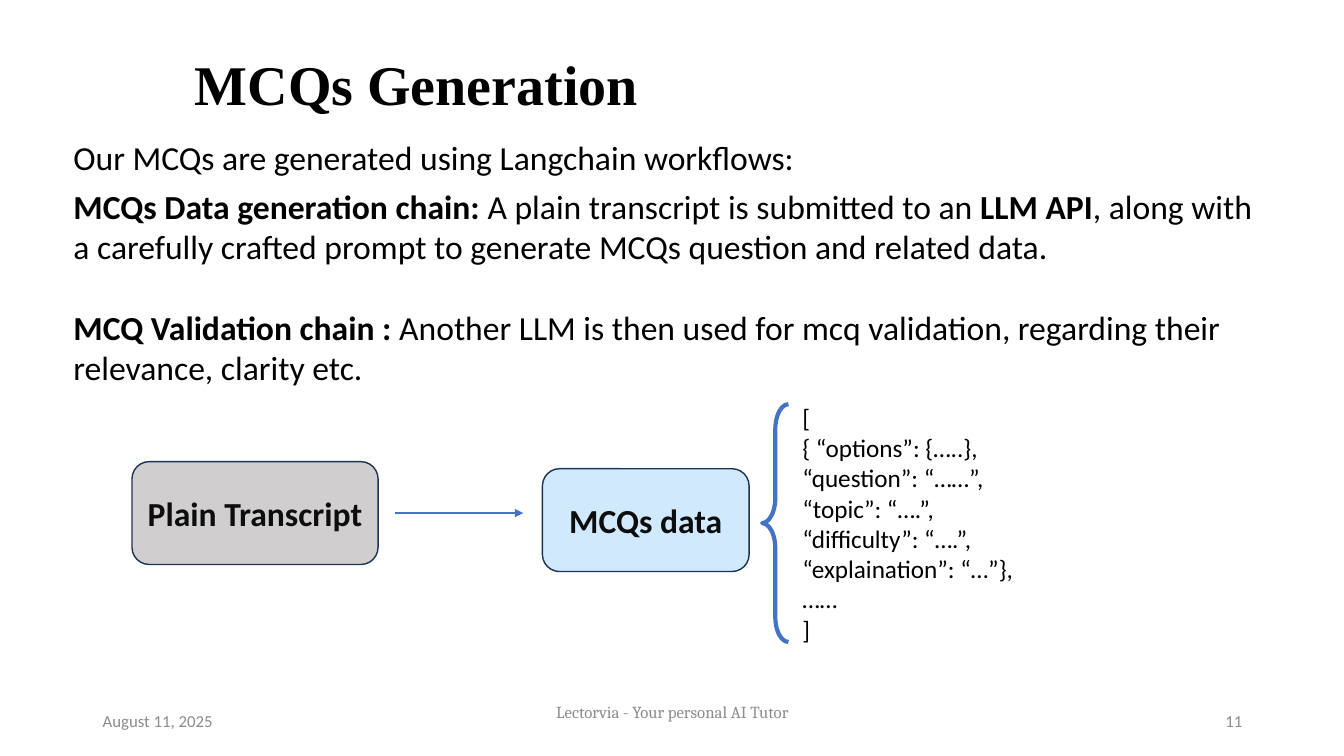
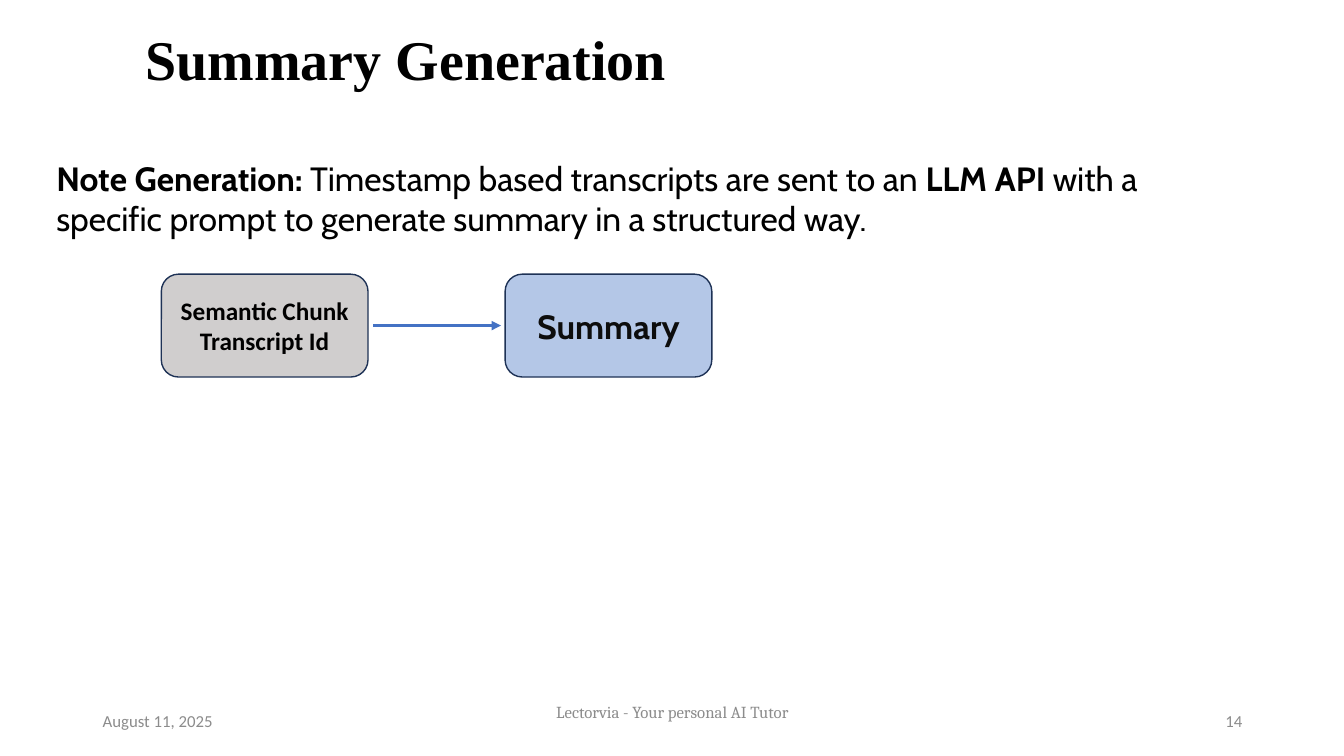
from dataclasses import dataclass

from lxml import etree
from pptx import Presentation
from pptx.dml.color import RGBColor
from pptx.enum.shapes import MSO_CONNECTOR, MSO_SHAPE
from pptx.enum.text import MSO_ANCHOR, PP_ALIGN
from pptx.oxml.ns import qn
from pptx.util import Pt

PX = 9144
LEFT, MID, RIGHT = PP_ALIGN.LEFT, PP_ALIGN.CENTER, PP_ALIGN.RIGHT
TOP, CENTER = MSO_ANCHOR.TOP, MSO_ANCHOR.MIDDLE
ROUND, BRACE = MSO_SHAPE.ROUNDED_RECTANGLE, MSO_SHAPE.LEFT_BRACE
STRAIGHT = MSO_CONNECTOR.STRAIGHT


@dataclass(frozen=True)
class Theme:
    """Colours, fonts and type sizes of the deck."""
    ink: str = "000000"
    soft: str = "0D0D0D"
    muted: str = "8C8C8C"
    grey: str = "D0CECE"
    sky: str = "D1E9FC"
    blue: str = "B4C7E7"
    edge: str = "1E3256"
    accent: str = "4472C4"
    head: str = "Times New Roman"
    sans: str = "Calibri"
    serif: str = "Cambria"
    round: str = "Cabin"
    title: int = 40
    body: int = 24
    code: int = 18
    small: int = 12


T = Theme()


def emu(*sizes):
    """Turn px lengths into EMU."""
    return [size * PX for size in sizes]


def rgb(color):
    """Turn a hex string into a colour."""
    return RGBColor.from_string(color)


def write(shape, lines, size=T.body, font=T.sans, color=T.ink, bold=False,
          align=LEFT, anchor=TOP, gaps=()):
    """Fill a shape with lines, where ** switches bold and gaps follow lines."""
    frame = shape.text_frame
    frame.word_wrap = True
    frame.vertical_anchor = anchor
    for i, line in enumerate(lines):
        para = frame.paragraphs[0] if i == 0 else frame.add_paragraph()
        para.alignment = align
        if i < len(gaps):
            para.space_after = Pt(gaps[i])
        for j, part in enumerate(line.split("**")):
            if part:
                run = para.add_run()
                run.text = part
                run.font.name = font
                run.font.size = Pt(size)
                run.font.bold = bold or j % 2 == 1
                run.font.color.rgb = rgb(color)


def label(slide, box, *lines, **style):
    """Place a text box."""
    write(slide.shapes.add_textbox(*emu(*box)), lines, **style)


def node(slide, box, text, fill, **style):
    """Place a rounded box with a centred label."""
    shape = slide.shapes.add_shape(ROUND, *emu(*box))
    shape.shadow.inherit = False
    shape.fill.solid()
    shape.fill.fore_color.rgb = rgb(fill)
    shape.line.color.rgb = rgb(T.edge)
    shape.line.width = Pt(1)
    write(shape, [text], bold=True, align=MID, anchor=CENTER, **style)


def arrow(slide, left, top, width, weight):
    """Draw an arrow to the right."""
    line = slide.shapes.add_connector(
        STRAIGHT, *emu(left, top, left + width, top))
    line.line.color.rgb = rgb(T.accent)
    line.line.width = Pt(weight)
    etree.SubElement(line.line._get_or_add_ln(), qn("a:tailEnd"), type="triangle")
    etree.SubElement(line._element.spPr, qn("a:effectLst"))


def listing(slide, box, *lines):
    """Place code lines behind a left brace."""
    left, top, width, height = box
    brace = slide.shapes.add_shape(BRACE, *emu(left, top + 7, 26, height - 16))
    brace.shadow.inherit = False
    brace.fill.background()
    brace.line.color.rgb = rgb(T.accent)
    brace.line.width = Pt(3)
    brace.adjustments[0] = 0.97
    label(slide, (left + 30, top, width - 30, height), *lines, size=T.code)


def footer(slide, box, number):
    """Place date, name and page number in a band."""
    left, top, width, height = box
    style = dict(size=T.small, color=T.muted, anchor=CENTER)
    label(slide, (left, top, 300, height), "August 11, 2025", **style)
    label(slide, (left + 350, top - 9, 450, height),
          "Lectorvia - Your personal AI Tutor", font=T.serif, align=MID, **style)
    label(slide, (left + width - 300, top, 300, height), str(number),
          align=RIGHT, **style)


def page(deck, number, title, box):
    """Add a slide with its title and footer."""
    slide = deck.slides.add_slide(deck.slide_layouts[6])
    footer(slide, (92, 695, 1150, 40), number)
    label(slide, box, title, size=T.title, font=T.head, bold=True, align=MID)
    return slide


def quiz(slide, box):
    """Draw the flow from transcript to question data."""
    left, top, width, height = box
    node(slide, (left, top + 64, 244, 102), "Plain Transcript", T.grey,
         color=T.soft)
    arrow(slide, left + 261, top + 115, 127, 1.5)
    node(slide, (left + 407, top + 71, 205, 102), "MCQs data", T.sky,
         color=T.soft)
    listing(slide, (left + 625, top, width - 625, height),
            "[", "{ “options”: {…..},", "“question”: “……”,", "“topic”: “….”,",
            "“difficulty”: “….”,", "“explaination”: “…”},", "……", "]")


def digest(slide, box):
    """Draw the flow from transcript chunk to summary."""
    left, top, width, height = box
    node(slide, (left, top, 205, height), "Semantic Chunk Transcript Id",
         T.grey, size=T.code)
    arrow(slide, left + 210, top + height // 2, 127, 2.25)
    node(slide, (left + width - 205, top, 205, height), "Summary", T.blue,
         font=T.round, color=T.soft)


def main():
    """Build and save the deck."""
    deck = Presentation()
    deck.slide_width, deck.slide_height = emu(1333, 750)

    slide = page(deck, 11, "MCQs Generation", (58, 44, 710, 77))
    label(slide, (63, 131, 1207, 261),
          "Our MCQs are generated using Langchain workflows:",
          "**MCQs Data generation chain:** A plain transcript is submitted to an "
          "**LLM API**, along with a carefully crafted prompt to generate MCQs "
          "question and related data.",
          "**MCQ Validation chain : **Another LLM is then used for mcq "
          "validation, regarding their relevance, clarity etc.",
          gaps=(6, 29))
    quiz(slide, (131, 394, 907, 252))

    slide = page(deck, 14, "Summary Generation", (58, 19, 689, 77))
    label(slide, (46, 151, 1182, 91),
          "**Note Generation: **Timestamp based transcripts are sent to an "
          "**LLM API** with a specific prompt to generate summary in a "
          "structured way.", font=T.round, anchor=CENTER)
    digest(slide, (160, 272, 546, 102))

    deck.save("out.pptx")


if __name__ == "__main__":
    main()
